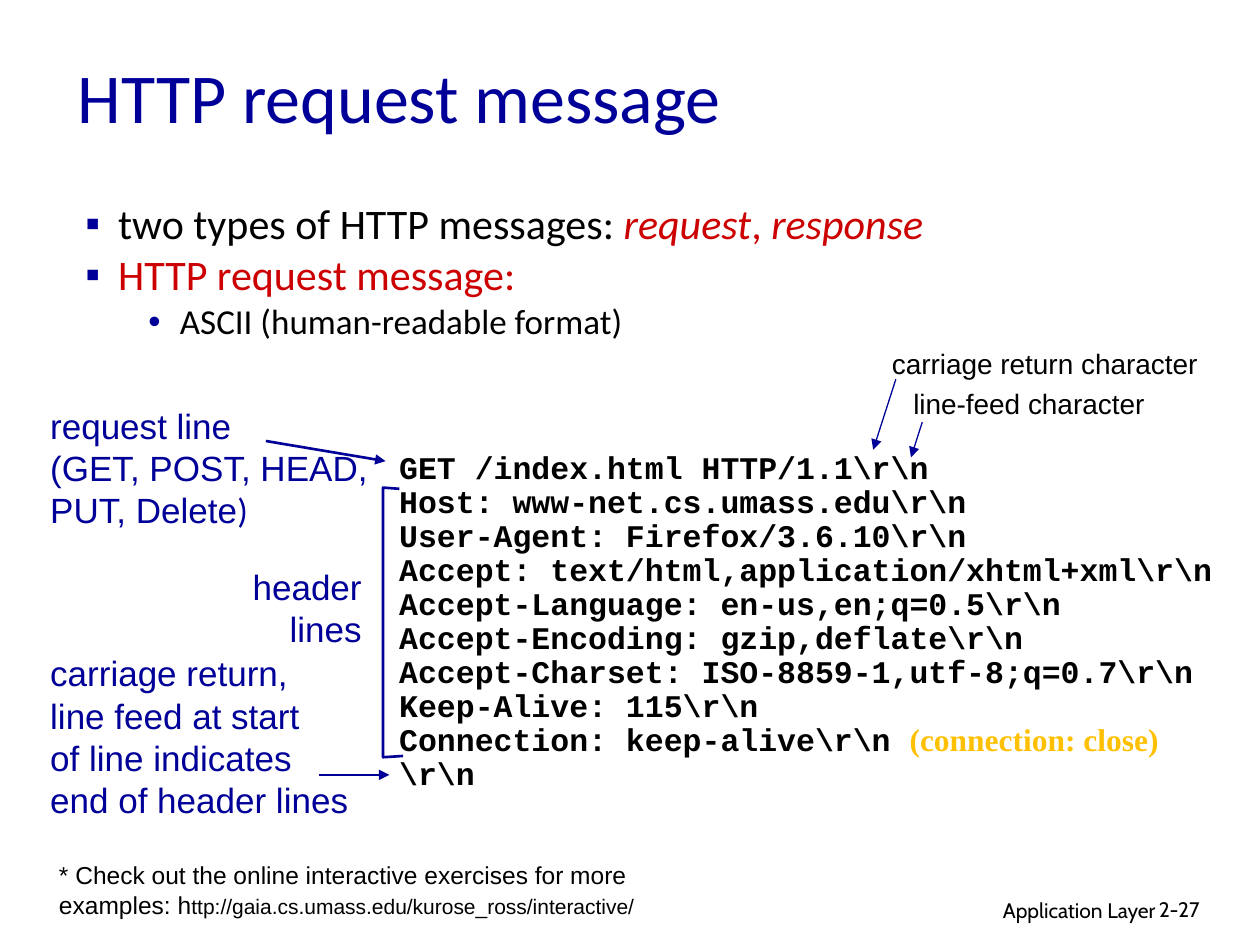
from dataclasses import dataclass
from typing import Any

from lxml import etree
from pptx import Presentation
from pptx import util as u
from pptx.dml.color import RGBColor
from pptx.enum import shapes, text
from pptx.oxml import ns

HUES = {"navy": "000099", "red": "CC0000", "black": "000000", "gold": "FFC000"}
LEFT, RIGHT = text.PP_ALIGN.LEFT, text.PP_ALIGN.RIGHT


@dataclass
class Run:
    words: str
    font: str = ""
    size: float = 0
    hue: str = ""
    slant: bool = False


@dataclass
class Label:
    area: tuple[float, float, float, float]
    lines: list[str | list[Run]]
    style: dict[str, Any]
    wrap: bool = False
    grow: bool = True


@dataclass
class Arrow:
    start: tuple[float, float]
    end: tuple[float, float]
    width: float


def child(node: Any, tag: str, **attrs: str) -> Any:
    return etree.SubElement(node, ns.qn(tag), attrs)


def tint(tone: Any, hue: str) -> None:
    tone.rgb = RGBColor.from_string(HUES[hue])


def frame(slide: Any, area: tuple, wrap: bool = True, grow: bool = False) -> Any:
    body = slide.shapes.add_textbox(*map(u.Inches, area)).text_frame
    body.word_wrap = wrap
    if grow:
        body.auto_size = text.MSO_AUTO_SIZE.SHAPE_TO_FIT_TEXT
    return body


def write(body: Any, words: str | list[Run], *, size: float, font: str = "Arial",
          hue: str = "black", bold: bool = False, align: Any = LEFT,
          space: float = 1, before: float = 0, left: float = 0,
          hang: float = 0, mark: str = "", level: int = 0) -> None:
    first = body.paragraphs[0]
    para = body.add_paragraph() if first.runs else first
    para.alignment, para.level = align, level
    props = para._p.get_or_add_pPr()
    props.set("marL", str(u.Inches(left)))
    props.set("indent", str(u.Inches(-hang)))
    if mark:
        child(child(props, "a:buClr"), "a:srgbClr", val=HUES["navy"])
        child(props, "a:buFont", typeface="Arial")
        child(props, "a:buChar", char=mark)
    para.line_spacing = space
    para.space_before = u.Pt(before)
    for part in [Run(words)] if isinstance(words, str) else words:
        run = para.add_run()
        run.text = part.words
        run.font.name = part.font or font
        run.font.size = u.Pt(part.size or size)
        run.font.bold, run.font.italic = bold, part.slant
        tint(run.font.color, part.hue or hue)


def label(slide: Any, item: Label) -> None:
    body = frame(slide, item.area, item.wrap, item.grow)
    for line in item.lines:
        write(body, line, **item.style)


def stroke(shape: Any, width: float) -> Any:
    tint(shape.line.color, "navy")
    shape.line.width = u.Pt(width)
    return shape.line._get_or_add_ln()


def arrow(slide: Any, item: Arrow) -> None:
    ends = map(u.Inches, item.start + item.end)
    wire = slide.shapes.add_connector(shapes.MSO_CONNECTOR.STRAIGHT, *ends)
    child(stroke(wire, item.width), "a:tailEnd", type="triangle")
    child(wire._element.spPr, "a:effectLst")


def brace(slide: Any, spots: list[tuple[float, float]]) -> None:
    first, *rest = [(u.Inches(x), u.Inches(y)) for x, y in spots]
    path = slide.shapes.build_freeform(*first)
    path.add_line_segments(rest, close=False)
    shape = path.convert_to_shape()
    shape.shadow.inherit = False
    shape.fill.background()
    stroke(shape, 1.5)


def points(slide: Any) -> None:
    body = frame(slide, (0.58, 1.58, 8.5, 5.08))
    major = dict(size=24, font="Calibri", space=0.85, left=0.26, hang=0.26, mark="▪")
    minor = major | dict(size=20, left=0.75, hang=0.25, mark="•", level=1)
    write(body, [Run("two types of HTTP messages: "),
                 Run("request", hue="red", slant=True), Run(", ", hue="red"),
                 Run("response", hue="red", slant=True)], **major)
    write(body, "HTTP request message:", hue="red", before=4.8, **major)
    write(body, "ASCII (human-readable format)", before=4, **minor)


NOTE = dict(size=20, hue="navy")
TAG = dict(size=16)
FOOT = dict(size=12, font="Cabin")
CODE = dict(size=18, font="Courier New", bold=True, space=0.9, left=0.38, hang=0.38)

LABELS = [
    Label((6.1, 7.07, 3.17, 0.31), ["Application Layer"], FOOT | dict(align=RIGHT),
          wrap=True, grow=False),
    Label((9.1, 7.07, 0.74, 0.3), ["2-27"], FOOT, wrap=True, grow=False),
    Label((0.3, 3.16, 2.77, 1.11),
          ["request line",
           [Run("(GET, POST, HEAD, PUT, Delete"), Run(")", font="Calibri")]],
          NOTE, wrap=True),
    Label((1.9, 4.44, 1.07, 0.77), ["header", "lines"], NOTE | dict(align=RIGHT)),
    Label((3.07, 3.54, 6.84, 2.83),
          [r"GET /index.html HTTP/1.1\r\n",
           r"Host: www-net.cs.umass.edu\r\n",
           r"User-Agent: Firefox/3.6.10\r\n",
           r"Accept: text/html,application/xhtml+xml\r\n",
           r"Accept-Language: en-us,en;q=0.5\r\n",
           r"Accept-Encoding: gzip,deflate\r\n",
           r"Accept-Charset: ISO-8859-1,utf-8;q=0.7\r\n",
           r"Keep-Alive: 115\r\n",
           [Run(r"Connection: keep-alive\r\n "),
            Run("(connection: close)", font="Times New Roman", hue="gold")],
           r"\r\n"], CODE),
    Label((6.98, 2.7, 2.64, 0.37), ["carriage return character"], TAG),
    Label((7.15, 3.02, 2.04, 0.37), ["line-feed character"], TAG),
    Label((0.37, 6.78, 4.93, 0.57),
          [[Run("* Check out the online interactive exercises for more examples: h"),
            Run("ttp://gaia.cs.umass.edu/kurose_ross/interactive/", size=12)]],
          dict(size=14), wrap=True),
]

ARROWS = [
    Arrow((2.11, 3.5), (3.06, 3.66), 1.5),
    Arrow((2.53, 6.15), (3.09, 6.15), 1.5),
    Arrow((7.11, 3.01), (6.93, 3.57), 0.75),
    Arrow((7.32, 3.35), (7.23, 3.63), 0.75),
]


def main() -> None:
    deck = Presentation()
    deck.slide_width, deck.slide_height = u.Inches(10), u.Inches(7.5)
    slide = deck.slides.add_slide(deck.slide_layouts[6])
    title = frame(slide, (0.52, 0.26, 8.5, 1))
    title.vertical_anchor = text.MSO_ANCHOR.MIDDLE
    write(title, "HTTP request message", size=40, font="Calibri", hue="navy")
    points(slide)
    for item in LABELS:
        label(slide, item)
    ending = frame(slide, (0.3, 5.16, 2.59, 1.41), wrap=False, grow=True)
    write(ending, "carriage return,", space=0.9, **NOTE)
    for line in ("line feed at start", "of line indicates", "end of header lines"):
        write(ending, line, **NOTE)
    brace(slide, [(3.17, 3.88), (3.04, 3.87), (3.04, 6.01), (3.2, 6)])
    for item in ARROWS:
        arrow(slide, item)
    deck.save("out.pptx")


if __name__ == "__main__":
    main()
